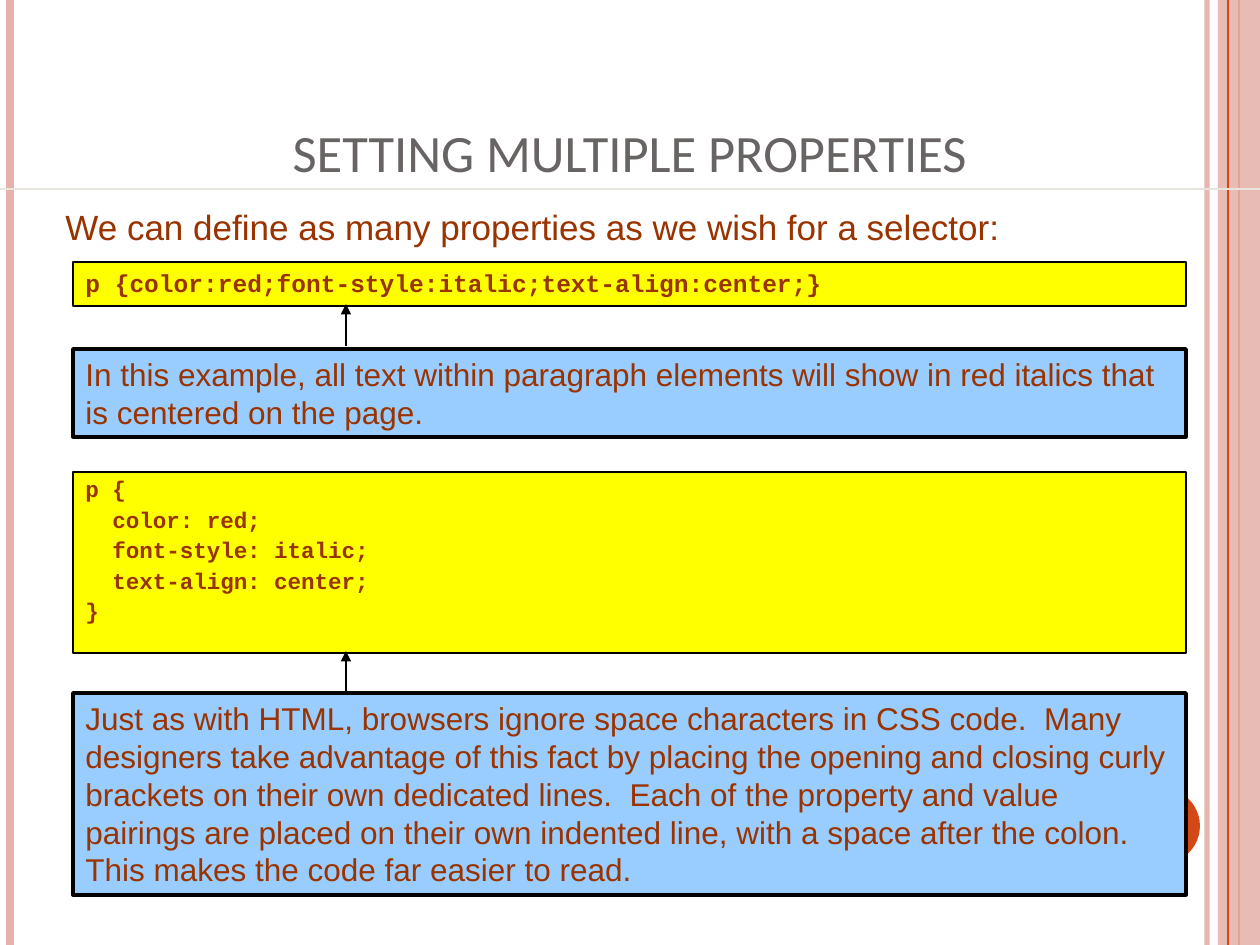
import pptx
import pptx.dml.color
import pptx.enum.shapes
import pptx.enum.text
import pptx.oxml
import pptx.oxml.ns
import pptx.util

RGBColor = pptx.dml.color.RGBColor
MSO_SHAPE = pptx.enum.shapes.MSO_SHAPE
MSO_ANCHOR = pptx.enum.text.MSO_ANCHOR
PP_ALIGN = pptx.enum.text.PP_ALIGN

PINK = RGBColor(0xE6, 0xB1, 0xAB)
ORANGE = RGBColor(0xD3, 0x48, 0x17)
GRAY = RGBColor(0x69, 0x64, 0x64)
SAND = RGBColor(0xE9, 0xE5, 0xDC)
BROWN = RGBColor(0x99, 0x33, 0x00)
BLUE = RGBColor(0x99, 0xCC, 0xFF)
YELLOW = RGBColor(0xFF, 0xFF, 0x00)
BLACK = RGBColor(0x00, 0x00, 0x00)

WIDTH, HEIGHT = 1260, 945
BOX_LEFT, BOX_WIDTH = 73, 1113
ARROW_X = 346


def px(n):
    return pptx.util.Emu(round(n * 914400 / 126))


def add_xml(parent, tag, **attrs):
    child = pptx.oxml.parse_xml(f"<a:{tag} {pptx.oxml.ns.nsdecls('a')}/>")
    for name, value in attrs.items():
        child.set(name, value)
    parent.append(child)


def set_opacity(element, percent):
    for color in element.spPr.iter(pptx.oxml.ns.qn("a:srgbClr")):
        add_xml(color, "alpha", val=str(percent * 1000))


def write(tf, text, font="Arial", size=18, color=BROWN, bold=False,
          align=PP_ALIGN.LEFT, anchor=MSO_ANCHOR.TOP, spacing=1.0, before=0):
    tf.word_wrap = True
    tf.auto_size = pptx.enum.text.MSO_AUTO_SIZE.NONE
    tf.vertical_anchor = anchor
    for i, line in enumerate(text.split("\n")):
        p = tf.add_paragraph() if i else tf.paragraphs[0]
        p.alignment = align
        p.line_spacing = spacing
        p.space_before = pptx.util.Pt(before if i else 0)
        r = p.add_run()
        r.text = line
        r.font.name = font
        r.font.size = pptx.util.Pt(size)
        r.font.bold = bold
        r.font.color.rgb = color


class Deck:
    def __init__(self):
        self.prs = pptx.Presentation()
        self.prs.slide_width, self.prs.slide_height = px(WIDTH), px(HEIGHT)
        self.s = self.prs.slides.add_slide(self.prs.slide_layouts[5])

    def title(self, x, y, w, h, text, **fmt):
        sp = self.s.shapes.title
        sp.left, sp.top, sp.width, sp.height = map(px, (x, y, w, h))
        write(sp.text_frame, text, **fmt)

    def text(self, x, y, w, h, text, **fmt):
        sp = self.s.shapes.add_textbox(*map(px, (x, y, w, h)))
        write(sp.text_frame, text, **fmt)

    def shape(self, kind, x, y, w, h, fill, opacity=100):
        sp = self.s.shapes.add_shape(kind, *map(px, (x, y, w, h)))
        sp.shadow.inherit = False
        sp.fill.solid()
        sp.fill.fore_color.rgb = fill
        sp.line.fill.background()
        if opacity < 100:
            set_opacity(sp._element, opacity)
        return sp

    def box(self, y, h, text, fill, line_width, **fmt):
        sp = self.shape(MSO_SHAPE.RECTANGLE, BOX_LEFT, y, BOX_WIDTH, h, fill)
        sp.line.color.rgb = BLACK
        sp.line.width = pptx.util.Pt(line_width)
        write(sp.text_frame, text, **fmt)

    def note(self, y, h, text):
        self.box(y, h, text, BLUE, 2)

    def code(self, y, h, text, **fmt):
        self.box(y, h, text, YELLOW, 0.75, font="Courier New", bold=True, **fmt)

    def line(self, x1, y1, x2, y2, color, width, opacity=100, arrow=False):
        c = self.s.shapes.add_connector(
            pptx.enum.shapes.MSO_CONNECTOR.STRAIGHT, *map(px, (x1, y1, x2, y2)))
        c.line.color.rgb = color
        c.line.width = pptx.util.Pt(width)
        if opacity < 100:
            set_opacity(c._element, opacity)
        if arrow:
            add_xml(c.line._get_or_add_ln(), "tailEnd", type="triangle")
        add_xml(c._element.spPr, "effectLst")

    def arrow_up(self, y):
        self.line(ARROW_X, y, ARROW_X, y - 42, BLACK, 0.75, arrow=True)


def main():
    d = Deck()
    d.line(1207, 0, 1207, HEIGHT, PINK, 3, opacity=93)
    d.line(10, 0, 10, HEIGHT, PINK, 4.5)
    d.line(1239, 0, 1239, HEIGHT, ORANGE, 1.5)
    d.shape(MSO_SHAPE.RECTANGLE, 1218, 0, 42, HEIGHT, PINK, opacity=87)
    d.line(1228, 0, 1228, HEIGHT, ORANGE, 0.75)
    d.shape(MSO_SHAPE.OVAL, 1124, 788, 76, 76, ORANGE)

    d.title(63, 53, 1134, 136, "SETTING MULTIPLE PROPERTIES", font="Calibri",
            size=30, color=GRAY, align=PP_ALIGN.CENTER, anchor=MSO_ANCHOR.BOTTOM)
    d.line(0, 189, WIDTH, 189, SAND, 1.25)
    d.text(53, 199, 1144, 63,
           "We can define as many properties as we wish for a selector:", size=20)

    d.note(349, 88, "In this example, all text within paragraph elements will show "
           "in red italics that is centered on the page.")
    d.code(262, 44, "p {color:red;font-style:italic;text-align:center;}", size=14)
    d.code(472, 181, "p {\n  color: red;\n  font-style: italic;\n"
           "  text-align: center;\n}", size=12.9, spacing=0.9, before=3.5)
    d.arrow_up(346)
    d.note(693, 202, "Just as with HTML, browsers ignore space characters in CSS code.  "
           "Many designers take advantage of this fact by placing the opening and "
           "closing curly brackets on their own dedicated lines.  Each of the property "
           "and value pairings are placed on their own indented line, with a space "
           "after the colon.  This makes the code far easier to read.")
    d.arrow_up(693)
    d.prs.save("out.pptx")


if __name__ == "__main__":
    main()
